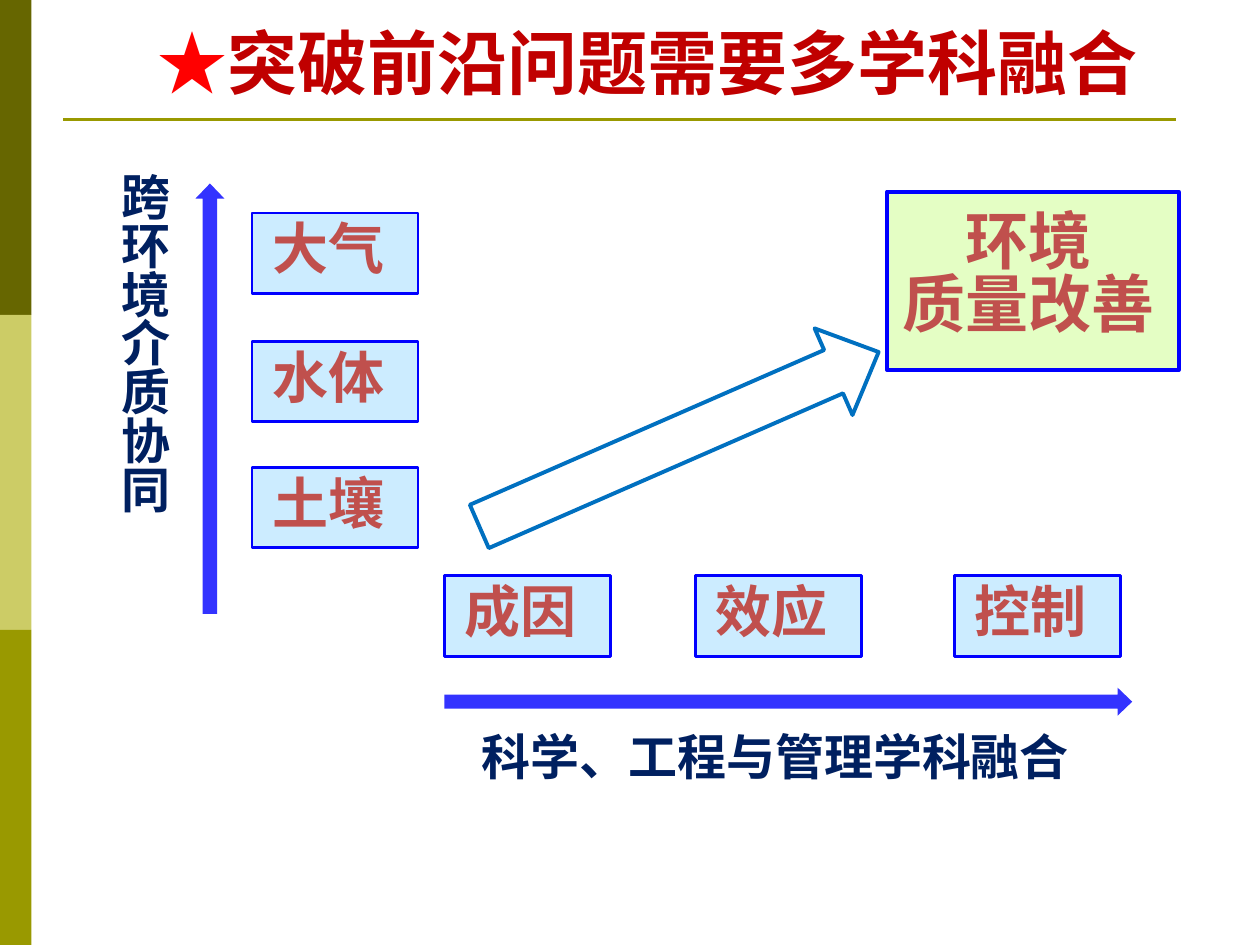
"""Build the slide on multidisciplinary integration for frontier problems."""
from pptx import Presentation
from pptx.dml.color import RGBColor
from pptx.enum.shapes import MSO_CONNECTOR, MSO_SHAPE
from pptx.enum.text import MSO_ANCHOR, MSO_AUTO_SIZE, PP_ALIGN
from pptx.oxml.ns import qn
from pptx.util import Pt

FONT = "Noto Sans CJK SC"
RED = RGBColor(0xFF, 0x00, 0x00)
DARK_RED = RGBColor(0xC0, 0x00, 0x00)
BRICK = RGBColor(0xC0, 0x50, 0x4D)
NAVY = RGBColor(0x00, 0x20, 0x60)
BLUE = RGBColor(0x00, 0x00, 0xFF)
ARROW_BLUE = RGBColor(0x33, 0x33, 0xFF)
OUTLINE_BLUE = RGBColor(0x00, 0x70, 0xC0)
PALE_BLUE = RGBColor(0xCC, 0xEC, 0xFF)
PALE_GREEN = RGBColor(0xE4, 0xFE, 0xC4)
DARK_OLIVE = RGBColor(0x66, 0x66, 0x00)
LIGHT_OLIVE = RGBColor(0xCC, 0xCC, 0x66)
OLIVE = RGBColor(0x99, 0x99, 0x00)

prs = Presentation()
prs.slide_width, prs.slide_height = Pt(720), Pt(540)
s = prs.slides.add_slide(prs.slide_layouts[5])


def add_shape(kind, box, fill=None, line=None, width=1.5):
    sp = s.shapes.add_shape(kind, *map(Pt, box))
    sp.shadow.inherit = False
    if fill is None:
        sp.fill.background()
    else:
        sp.fill.solid()
        sp.fill.fore_color.rgb = fill
    if line is None:
        sp.line.fill.background()
    else:
        sp.line.color.rgb = line
        sp.line.width = Pt(width)
    return sp


def write(sp, lines, size, anchor=MSO_ANCHOR.MIDDLE, **margins):
    tf = sp.text_frame
    frame = {"word_wrap": True, "auto_size": MSO_AUTO_SIZE.NONE,
             "vertical_anchor": anchor, **margins}
    for name, value in frame.items():
        setattr(tf, name, value)
    for i, runs in enumerate(lines):
        p = tf.add_paragraph() if i else tf.paragraphs[0]
        p.alignment = PP_ALIGN.CENTER
        p.line_spacing = 0.83
        for text, color in runs:
            r = p.add_run()
            r.text = text
            for name, value in {"name": FONT, "size": Pt(size), "bold": True}.items():
                setattr(r.font, name, value)
            r.font.color.rgb = color
            ea = r.font._element.makeelement(qn("a:ea"), {"typeface": FONT})
            r.font._element.find(qn("a:latin")).addnext(ea)


for i, color in enumerate((DARK_OLIVE, LIGHT_OLIVE, OLIVE)):
    add_shape(MSO_SHAPE.RECTANGLE, (0, 180 * i, 18, 180), color)

rule = s.shapes.add_connector(MSO_CONNECTOR.STRAIGHT, Pt(36), Pt(68.4), Pt(672), Pt(68.4))
rule.line.color.rgb = OLIVE
rule.line.width = Pt(1.5)
sp_pr = rule._element.spPr
sp_pr.append(sp_pr.makeelement(qn("a:effectLst"), {}))

title = s.shapes.title
for name, value in {"left": 67, "top": 13, "width": 606, "height": 94}.items():
    setattr(title, name, Pt(value))
write(title, [[("★", RED), ("突破前沿问题需要多学科融合", DARK_RED)]], 40,
      MSO_ANCHOR.TOP, margin_top=Pt(6.5))

topics = [("大气", 144, 121.7), ("水体", 144, 195), ("土壤", 144, 267),
          ("成因", 254, 329), ("效应", 397.5, 329), ("控制", 545.5, 329)]
for text, left, top in topics:
    sp = add_shape(MSO_SHAPE.RECTANGLE, (left, top, 95, 46), PALE_BLUE, BLUE)
    write(sp, [[(text, BRICK)]], 32, margin_left=0, margin_right=Pt(8))

goal = add_shape(MSO_SHAPE.RECTANGLE, (507, 109.5, 166.5, 102), PALE_GREEN, BLUE, 2.25)
write(goal, [[("环境", BRICK)], [("质量改善", BRICK)]], 36,
      margin_left=0, margin_right=Pt(5), margin_bottom=Pt(8))

arrows = [((254, 393, 393, 16), 0, ARROW_BLUE, None),
          ((-3, 219.6, 246, 16.5), 270, ARROW_BLUE, None),
          ((263.5, 224, 249, 54), 336.4, None, OUTLINE_BLUE)]
for box, angle, fill, line in arrows:
    sp = add_shape(MSO_SHAPE.RIGHT_ARROW, box, fill, line, 2.25)
    sp.rotation = angle
    sp.adjustments[0], sp.adjustments[1] = 0.5, 0.52

captions = [("跨环境介质协同", (54, 94.3, 58.3, 264), MSO_ANCHOR.TOP, 6.5),
            ("科学、工程与管理学科融合", (239, 412.5, 408, 44.6), MSO_ANCHOR.MIDDLE, 3.6)]
for text, box, anchor, inset in captions:
    tb = s.shapes.add_textbox(*map(Pt, box))
    write(tb, [[(text, NAVY)]], 28, anchor, margin_top=Pt(inset))

prs.save("out.pptx")
